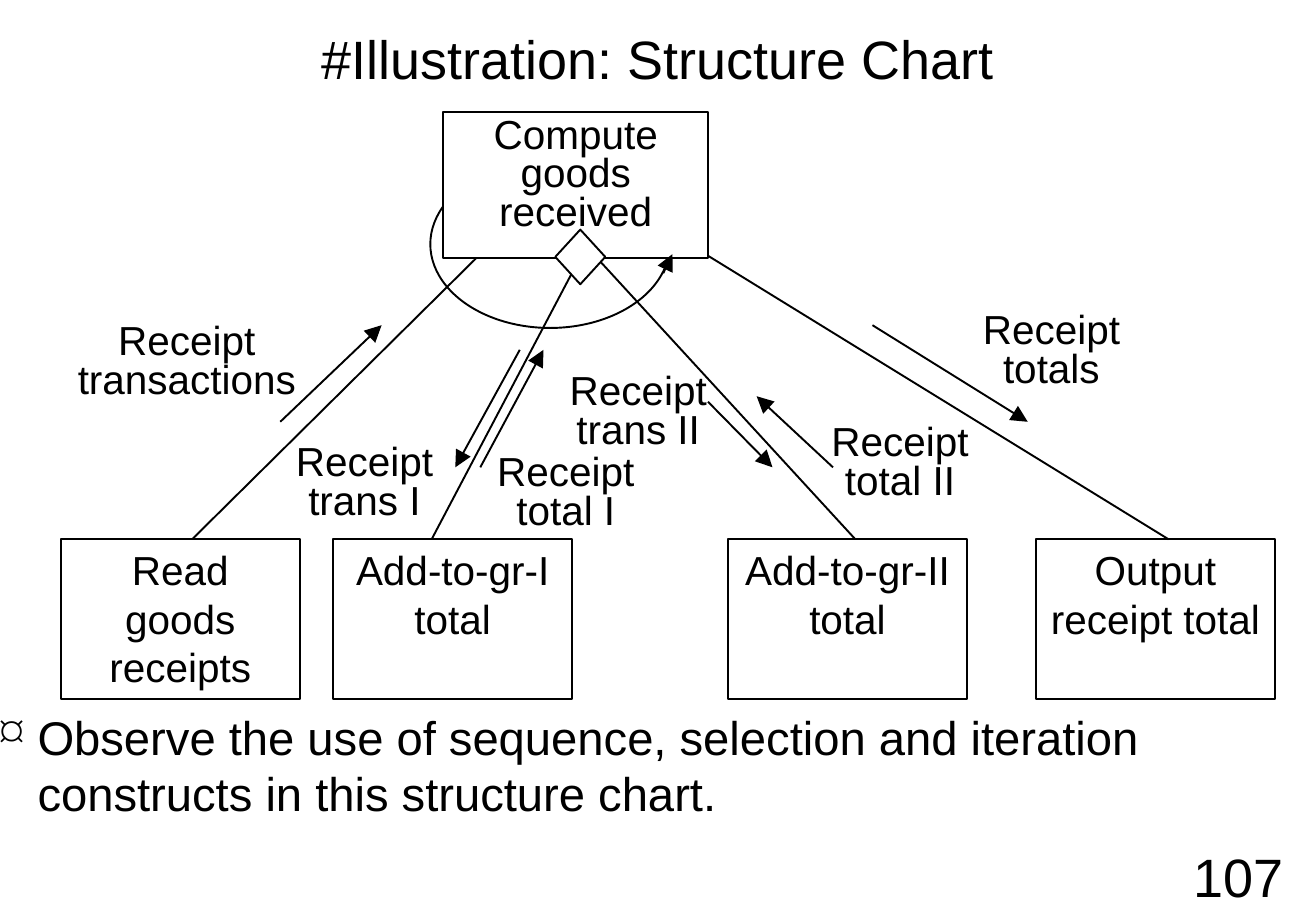
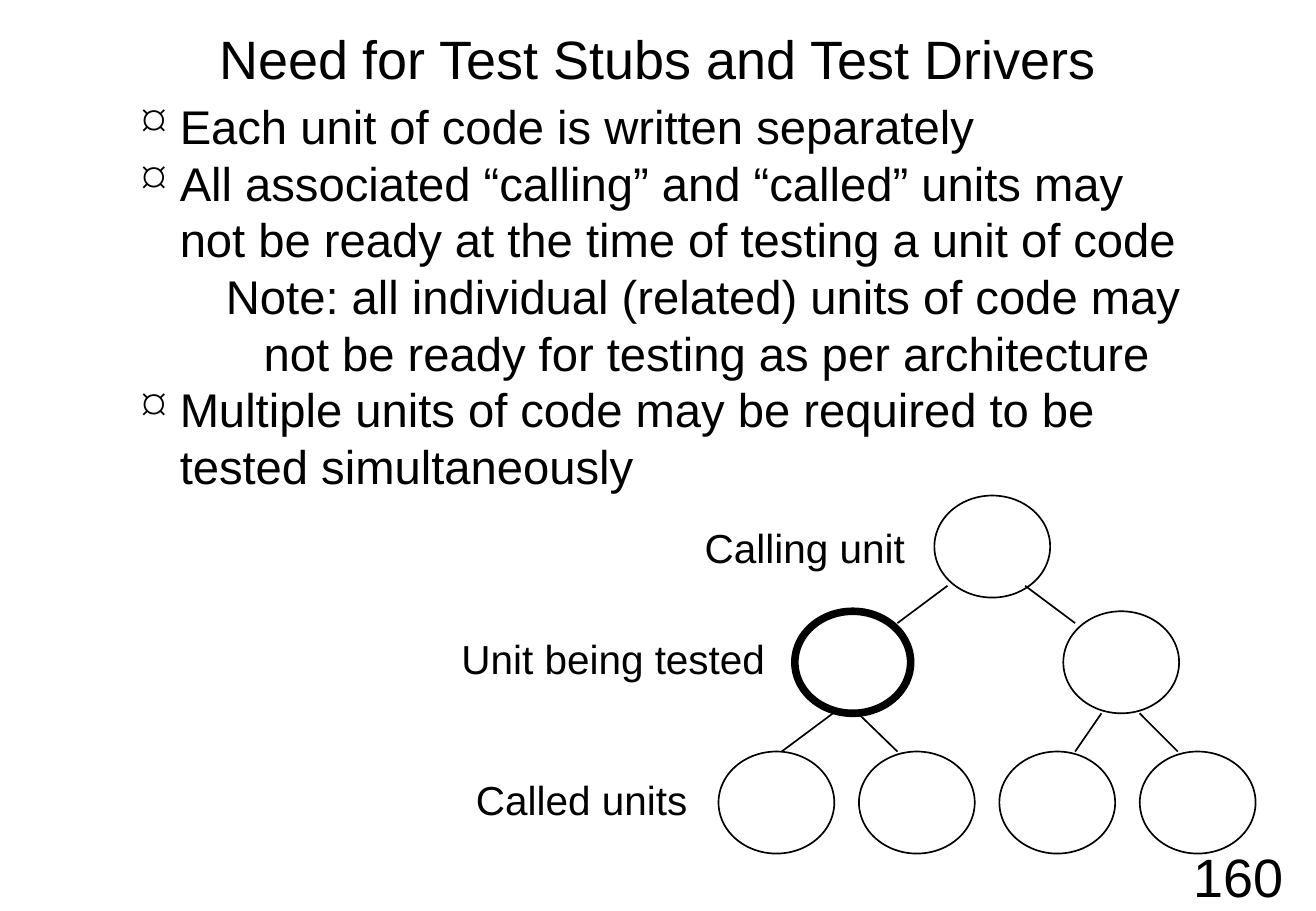
from dataclasses import dataclass

from lxml.etree import SubElement
from pptx import Presentation
from pptx.dml.color import RGBColor
from pptx.enum.shapes import MSO_CONNECTOR, MSO_SHAPE
from pptx.enum.text import MSO_ANCHOR, PP_ALIGN
from pptx.oxml.ns import qn
from pptx.util import Inches, Pt


@dataclass(frozen=True)
class Theme:
    ink: RGBColor = RGBColor(0, 0, 0)
    paper: RGBColor = RGBColor(255, 255, 255)
    font: str = "Arial"
    title: int = 32
    body: int = 28
    label: int = 24
    chart_line: float = 1.13
    tree_line: float = 1
    bold_line: float = 4.5
    tight: float = 0.8
    hanging: float = 0.31


theme = Theme()
deck = Presentation()
deck.slide_width, deck.slide_height = Inches(10.84), Inches(7.5)
# Every length below is a percentage of the slide's width or height.
COLUMN, ROW = deck.slide_width / 100, deck.slide_height / 100


def add_box(page, frame, paragraphs=(), size=theme.label, kind=None, line=theme.chart_line,
            fill=None, inset=(0, 0), spacing=None, anchor=MSO_ANCHOR.TOP, wrap=True):
    """Add a text box, or a preset shape of the given kind.

    Each paragraph is plain centred text, or (text, left indent, bullet) for a list.
    """
    left, top, width, height = frame
    place = [round(n) for n in (left * COLUMN, top * ROW, width * COLUMN, height * ROW)]
    if kind is None:
        box = page.shapes.add_textbox(*place)
    else:
        box = page.shapes.add_shape(kind, *place)
        box.shadow.inherit = False
        box.line.color.rgb = theme.ink
        box.line.width = Pt(line)
        if fill is None:
            box.fill.background()
        else:
            box.fill.solid()
            box.fill.fore_color.rgb = fill
    text = box.text_frame
    text.word_wrap = wrap
    text.vertical_anchor = anchor
    text.margin_left = text.margin_right = Inches(inset[0])
    text.margin_top = text.margin_bottom = Inches(inset[1])
    for index, content in enumerate(paragraphs):
        para = text.add_paragraph() if index else text.paragraphs[0]
        if isinstance(content, str):
            para.text = content
            para.alignment = PP_ALIGN.CENTER
        else:
            para.text, indent, bullet = content
            para.alignment = PP_ALIGN.LEFT
            properties = para._p.get_or_add_pPr()
            properties.set("marL", str(Inches(indent)))
            properties.set("indent", str(-Inches(theme.hanging)))
            if bullet:
                SubElement(properties, qn("a:buChar"), char=bullet)
            else:
                SubElement(properties, qn("a:buNone"))
        if spacing:
            para.line_spacing = spacing
        para.font.name, para.font.size = theme.font, Pt(size)
        para.font.color.rgb = theme.ink


def add_line(page, start, end, width, arrow=False):
    points = [round(n) for n in (start[0] * COLUMN, start[1] * ROW, end[0] * COLUMN, end[1] * ROW)]
    connector = page.shapes.add_connector(MSO_CONNECTOR.STRAIGHT, *points)
    connector.line.color.rgb = theme.ink
    connector.line.width = Pt(width)
    if arrow:
        SubElement(connector.line._get_or_add_ln(), qn("a:tailEnd"), type="triangle", w="lg", len="lg")
    SubElement(connector._element.spPr, qn("a:effectLst"))


pages = []
for title, number in (("#Illustration: Structure Chart", "107"),
                      ("Need for Test Stubs and Test Drivers", "160")):
    page = deck.slides.add_slide(deck.slide_layouts[6])
    add_box(page, (0, 0, 100, 12.8), [title], theme.title,
            inset=(0.1, 0.05), anchor=MSO_ANCHOR.MIDDLE)
    add_box(page, (88.4, 92.3, 11.5, 7.7), [number], theme.title,
            inset=(0.1, 0.05), anchor=MSO_ANCHOR.MIDDLE, wrap=False)
    pages.append(page)
chart_page, stub_page = pages

# Structure chart: called modules, each with its line up to the main module
MODULE_TOP = 59.2
for name, left, foot, head in (
    ("Read goods receipts", 4.6, 14.6, (36.5, 27.9)),
    ("Add-to-gr-I total", 25.3, 32.8, (43.6, 29.6)),
    ("Add-to-gr-II total", 55.3, 65, (45.1, 27.9)),
    ("Output receipt total", 78.7, 88.8, (53.6, 27.9)),
):
    add_box(chart_page, (left, MODULE_TOP, 18.2, 17.5), [name],
            kind=MSO_SHAPE.RECTANGLE, inset=(0.1, 0.05))
    add_line(chart_page, (foot, MODULE_TOP), head, theme.chart_line)

# The main module hides the upper part of the iteration loop
add_box(chart_page, (32.7, 17.6, 18.2, 18.4), kind=MSO_SHAPE.OVAL)
add_box(chart_page, (33.7, 12.3, 20.1, 16), ["Compute goods received"], kind=MSO_SHAPE.RECTANGLE,
        fill=theme.paper, inset=(0.1, 0.05), spacing=theme.tight)
add_box(chart_page, (42.2, 25.2, 3.8, 6), kind=MSO_SHAPE.DIAMOND, fill=theme.paper)
add_line(chart_page, (50.4, 30), (51.1, 27.9), theme.chart_line, arrow=True)

# Data passed between modules: label, its place and width, arrow from and to
for name, left, top, width, start, end in (
    ("Receipt transactions", 5.4, 35.6, 17.6, (21.3, 46.3), (29, 35.7)),
    ("Receipt trans I", 20, 48.9, 15.4, (39.5, 38.4), (34.6, 51.3)),
    ("Receipt total I", 35.3, 50, 15.4, (36.5, 51.3), (41.3, 38.4)),
    ("Receipt trans II", 40.8, 41.1, 15.4, (53.8, 44.1), (58.7, 51.3)),
    ("Receipt total II", 60.7, 46.7, 15.4, (63.3, 51.3), (57.5, 43.5)),
    ("Receipt totals", 72.2, 34.4, 15.4, (66.3, 35.7), (78.1, 46.3)),
):
    add_box(chart_page, (left, top, width, 8.5), [name], spacing=theme.tight)
    add_line(chart_page, start, end, theme.chart_line, arrow=True)

add_box(chart_page, (0, 77.7, 100, 22.3), [
    ("Observe the use of sequence, selection and iteration constructs in this structure chart.",
     theme.hanging, "¤"),
], theme.body)

# Test stubs and drivers
add_box(stub_page, (10.8, 10, 80, 45.6), [
    ("Each unit of code is written separately", theme.hanging, "¤"),
    ("All associated “calling” and “called” units may not be ready at the time of testing "
     "a unit of code", theme.hanging, "¤"),
    ("Note: all individual (related) units of code may not be ready for testing as per "
     "architecture", 1, None),
    ("Multiple units of code may be required to be tested simultaneously", theme.hanging, "¤"),
], theme.body, inset=(0, 0.05))

# Tree of units: top of each level, left edges, label frame
UNIT_WIDTH, UNIT_HEIGHT = 8.8, 11.2
TESTED_LEFT = 60.4
for top, lefts, name, label_left, label_top, label_width in (
    (54.4, [71], "Calling unit", 52.3, 56.7, 17.7),
    (67.1, [TESTED_LEFT, 80.8], "Unit being tested", 33.9, 68.9, 25.4),
    (82.5, [54.6 + 10.67 * leaf for leaf in range(4)], "Called units", 34.6, 84.4, 19.2),
):
    for left in lefts:
        add_box(stub_page, (left, top, UNIT_WIDTH, UNIT_HEIGHT), kind=MSO_SHAPE.OVAL,
                line=theme.bold_line if left == TESTED_LEFT else theme.tree_line)
    add_box(stub_page, (label_left, label_top, label_width, 6.7), [name],
            inset=(0, 0.05), anchor=MSO_ANCHOR.MIDDLE, wrap=False)

for top, bottom, links in (
    (64.3, 68.4, [(72, 68.2), (77.9, 81.7)]),
    (78.3, 82.5, [(63.3, 59.4), (65.2, 68.2), (83.7, 81.7), (86.6, 89.5)]),
):
    for parent, child in links:
        add_line(stub_page, (parent, top), (child, bottom), theme.tree_line)

deck.save("out.pptx")
